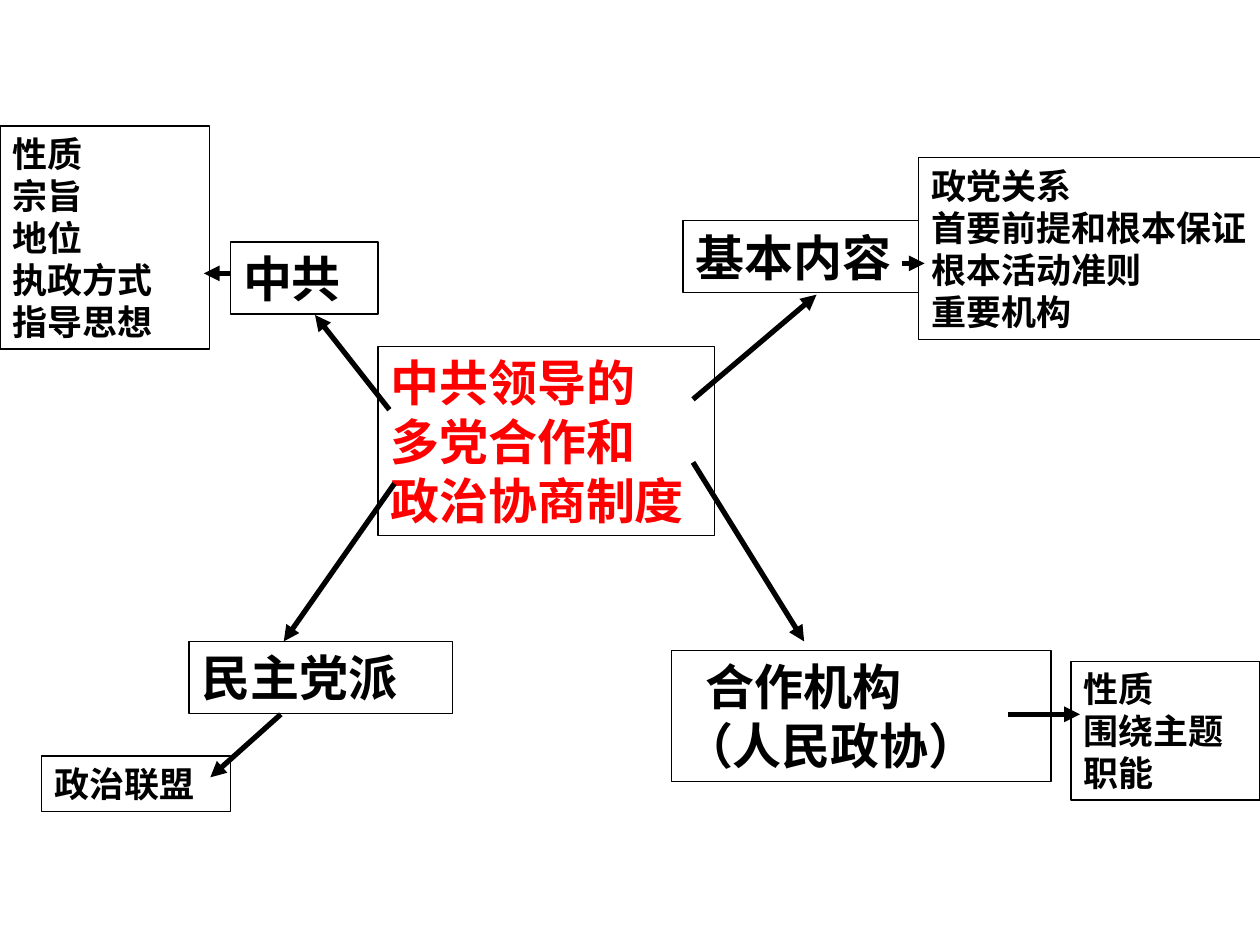
import pptx
import pptx.dml.color
import pptx.enum.shapes
import pptx.enum.text
import pptx.oxml.ns
import pptx.util
from lxml import etree

Cm = pptx.util.Cm
Pt = pptx.util.Pt


def color(hex_text):
    return pptx.dml.color.RGBColor.from_string(hex_text)


def write_text(frame, text, size=20, ink="000000", font="Noto Sans CJK SC", indent=0):
    """Write the lines of text as one bold, left-aligned paragraph."""
    para = frame.paragraphs[0]
    para.alignment = pptx.enum.text.PP_ALIGN.LEFT
    if indent:
        para._p.get_or_add_pPr().set("indent", str(Cm(indent)))
    for number, line in enumerate(text.split("\n")):
        if number:
            para.add_line_break()
        span = para.add_run()
        span.text = line
        span.font.size = Pt(size)
        span.font.bold = True
        span.font.name = font
        span.font.color.rgb = color(ink)
        east_asian = etree.SubElement(span._r.get_or_add_rPr(), pptx.oxml.ns.qn("a:ea"))
        east_asian.set("typeface", font)


class MindMap:
    """Style and current slide of the concept map."""
    ink = "000000"
    paper = "FFFFFF"
    border = 0.75
    arrow_width = 3

    def __init__(self, page):
        self.page = page

    def box(self, text, place, **text_format):
        box = self.page.shapes.add_shape(
            pptx.enum.shapes.MSO_SHAPE.RECTANGLE, *map(Cm, place))
        box.shadow.inherit = False
        box.fill.solid()
        box.fill.fore_color.rgb = color(self.paper)
        box.line.color.rgb = color(self.ink)
        box.line.width = Pt(self.border)
        frame = box.text_frame
        frame.word_wrap = True
        frame.auto_size = pptx.enum.text.MSO_AUTO_SIZE.SHAPE_TO_FIT_TEXT
        frame.vertical_anchor = pptx.enum.text.MSO_ANCHOR.MIDDLE
        write_text(frame, text, **text_format)

    def arrow(self, start, end):
        arrow = self.page.shapes.add_connector(
            pptx.enum.shapes.MSO_CONNECTOR.STRAIGHT, *map(Cm, start + end))
        arrow.line.color.rgb = color(self.ink)
        arrow.line.width = Pt(self.arrow_width)
        head = etree.SubElement(arrow.line._get_or_add_ln(), pptx.oxml.ns.qn("a:tailEnd"))
        head.set("type", "triangle")
        etree.SubElement(arrow._element.spPr, pptx.oxml.ns.qn("a:effectLst"))


# Branches: text, place, first-line indent, arrow from the centre
BRANCHES = [
    ("中共", (4.65, 4.88, 2.97, 1.45), 0, (7.85, 8.26), (6.35, 6.35)),
    ("基本内容", (13.77, 4.45, 5.31, 1.45), 0, (13.97, 8.05), (16.46, 5.94)),
    ("民主党派", (3.81, 12.93, 5.31, 1.45), 0, (7.95, 9.75), (5.72, 12.93)),
    ("合作机构\n（人民政协）", (13.54, 13.11, 7.65, 2.64), 0.44,
     (13.97, 9.32), (16.21, 12.93)),
]

# Details: text, place, arrow from the branch
DETAILS = [
    ("性质\n宗旨\n地位\n执政方式\n指导思想", (0, 2.54, 4.22, 4.5),
     (4.65, 5.51), (4.11, 5.51)),
    ("政治联盟", (0.84, 15.24, 3.81, 1.12), (5.66, 14.4), (4.24, 15.67)),
    ("政党关系\n首要前提和根本保证\n根本活动准则\n重要机构", (18.52, 3.18, 7.52, 3.66),
     (18.19, 5.31), (18.64, 5.31)),
    ("性质\n围绕主题\n职能", (21.59, 13.34, 3.81, 2.79), (20.32, 14.4), (21.77, 14.4)),
]


def main():
    deck = pptx.Presentation()
    deck.slide_width, deck.slide_height = Cm(25.4), Cm(19.05)
    mind_map = MindMap(deck.slides.add_slide(deck.slide_layouts[6]))

    # Centre
    mind_map.box("中共领导的\n多党合作和\n政治协商制度", (7.62, 6.98, 6.78, 3.81),
                 size=28, ink="FF0000")

    # Branches
    for text, place, indent, start, end in BRANCHES:
        mind_map.box(text, place, size=28, indent=indent)
        mind_map.arrow(start, end)

    # Details
    for text, place, start, end in DETAILS:
        mind_map.box(text, place)
        mind_map.arrow(start, end)

    deck.save("out.pptx")


if __name__ == "__main__":
    main()
